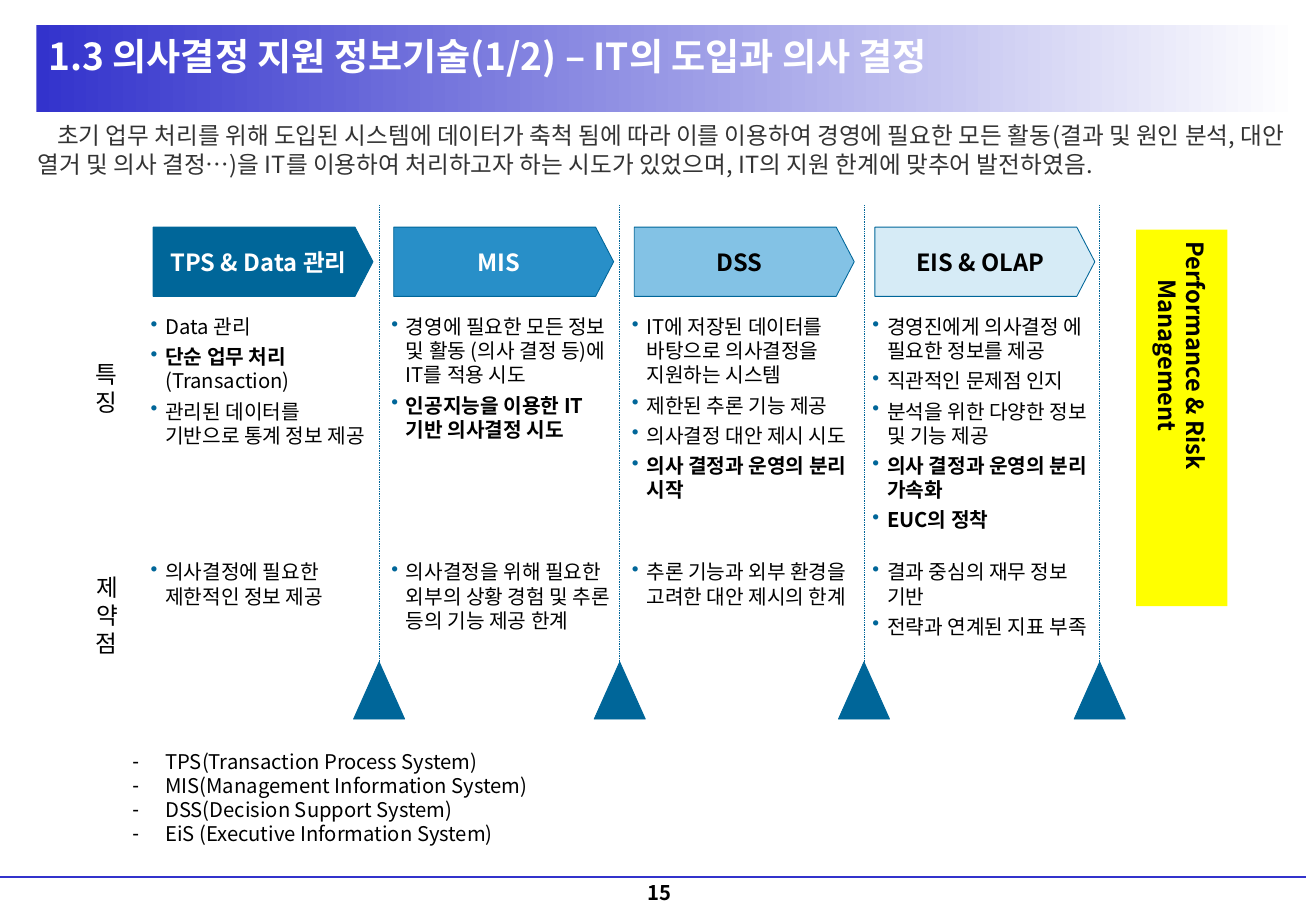
import lxml.etree
import pptx
import pptx.dml.color
import pptx.enum.dml
import pptx.enum.shapes
import pptx.enum.text
import pptx.oxml.ns
import pptx.util

Inches = pptx.util.Inches
Pt = pptx.util.Pt
RGBColor = pptx.dml.color.RGBColor
SHAPE = pptx.enum.shapes.MSO_SHAPE
ALIGN = pptx.enum.text.PP_ALIGN
ANCHOR = pptx.enum.text.MSO_ANCHOR
qn = pptx.oxml.ns.qn

FONT = "Noto Sans CJK KR"
WHITE = RGBColor(0xFF, 0xFF, 0xFF)
BLACK = RGBColor(0, 0, 0)
GRAY = RGBColor(0x33, 0x33, 0x33)
INDIGO = RGBColor(0x33, 0x33, 0xCC)
TEAL = RGBColor(0x00, 0x66, 0x99)
BLUE = RGBColor(0x28, 0x8F, 0xC8)
SKY = RGBColor(0x83, 0xC2, 0xE5)
PALE = RGBColor(0xD6, 0xEB, 0xF6)
YELLOW = RGBColor(0xFF, 0xFF, 0x00)

TITLE = "1.3 의사결정 지원 정보기술(1/2) – IT의 도입과 의사 결정"
LEAD = (
    "초기 업무 처리를 위해 도입된 시스템에 데이터가 축척 됨에 따라 이를 이용하여 경영에 필요한 "
    "모든 활동(결과 및 원인 분석, 대안 열거 및 의사 결정…)을 IT를 이용하여 처리하고자 하는 "
    "시도가 있었으며, IT의 지원 한계에 맞추어 발전하였음."
)
# Each point is (bold part, plain part).
STAGES = [
    {"name": "TPS & Data 관리", "fill": TEAL, "ink": WHITE, "divider": 3.12,
     "features": [("", "Data 관리"), ("단순 업무 처리 ", "(Transaction)"),
                  ("", "관리된 데이터를 기반으로 통계 정보 제공")],
     "limits": [("", "의사결정에 필요한 제한적인 정보 제공")]},
    {"name": "MIS", "fill": BLUE, "ink": WHITE, "divider": 5.1,
     "features": [("", "경영에 필요한 모든 정보 및 활동 (의사 결정 등)에 IT를 적용 시도"),
                  ("인공지능을 이용한 IT기반 의사결정 시도", "")],
     "limits": [("", "의사결정을 위해 필요한 외부의 상황 경험 및 추론 등의 기능 제공 한계")]},
    {"name": "DSS", "fill": SKY, "ink": BLACK, "divider": 7.11,
     "features": [("", "IT에 저장된 데이터를 바탕으로 의사결정을 지원하는 시스템"),
                  ("", "제한된 추론 기능 제공"), ("", "의사결정 대안 제시 시도"),
                  ("의사 결정과 운영의 분리 시작", "")],
     "limits": [("", "추론 기능과 외부 환경을 고려한 대안 제시의 한계")]},
    {"name": "EIS & OLAP", "fill": PALE, "ink": BLACK, "divider": 9.05,
     "features": [("", "경영진에게 의사결정 에 필요한 정보를 제공"), ("", "직관적인 문제점 인지"),
                  ("", "분석을 위한 다양한 정보 및 기능 제공"),
                  ("의사 결정과 운영의 분리 가속화", ""), ("EUC의 정착", "")],
     "limits": [("", "결과 중심의 재무 정보 기반"), ("", "전략과 연계된 지표 부족")]},
]
ROW_LABELS = [(["특", "징"], 2.59), (["제약점"], 4.46)]
GLOSSARY = [
    "TPS(Transaction Process System)",
    "MIS(Management Information System)",
    "DSS(Decision Support System)",
    "EiS (Executive Information System)",
]
OUTCOME = "Performance & Risk Management"
PAGE = "15"

STAGE_LEFT, STAGE_STEP, STAGE_WIDTH = 1.26, 1.98, 1.81
FEATURES_TOP, LIMITS_TOP = 2.59, 4.61
LINE_RATIO = 1.19


def place(part, left, top, width, height):
    part.left, part.top = Inches(left), Inches(top)
    part.width, part.height = Inches(width), Inches(height)


def write(part, lines, size, color=BLACK, bold=False, align=ALIGN.LEFT, anchor=ANCHOR.TOP,
          insets=(0, 0), bullet=None, hang=0, bullet_color=BLACK, gap=0):
    """Fill a part with paragraphs; a line is text or a (bold, plain) pair."""
    frame = part.text_frame
    frame.word_wrap = True
    frame.auto_size = pptx.enum.text.MSO_AUTO_SIZE.NONE
    frame.vertical_anchor = anchor
    frame.margin_left = frame.margin_right = Inches(insets[0])
    frame.margin_top = frame.margin_bottom = Inches(insets[1])
    for index, line in enumerate(lines):
        paragraph = frame.paragraphs[0] if index == 0 else frame.add_paragraph()
        strong, plain = (line, "") if isinstance(line, str) else line
        properties = paragraph._p.get_or_add_pPr()
        if bullet:
            properties.set("marL", str(Inches(hang)))
            properties.set("indent", str(-Inches(hang)))
            tint = lxml.etree.SubElement(properties, qn("a:buClr"))
            lxml.etree.SubElement(tint, qn("a:srgbClr"), val=str(bullet_color))
            lxml.etree.SubElement(properties, qn("a:buChar"), char=bullet)
        elif hang:
            properties.set("indent", str(Inches(hang)))
        paragraph.alignment = align
        paragraph.space_before = Pt(0)
        paragraph.space_after = Pt(gap)
        paragraph.line_spacing = Pt(round(size * LINE_RATIO, 1))
        paragraph.font.name = FONT
        paragraph.font.size = Pt(size)
        paragraph.font.color.rgb = color
        paragraph.font.bold = bold if isinstance(line, str) else not plain
        lxml.etree.SubElement(properties.find(qn("a:defRPr")), qn("a:ea"), typeface=FONT)
        for words in filter(None, (strong, plain)):
            run = paragraph.add_run()
            run.text = words
            if strong and plain:
                run.font.bold = words == strong


def add_text(slide, box, lines, size, **style):
    part = slide.shapes.add_textbox(*map(Inches, box))
    write(part, lines, size, **style)


def add_block(slide, preset, box, fill, outline=None):
    block = slide.shapes.add_shape(preset, *map(Inches, box))
    block.shadow.inherit = False
    block.fill.solid()
    block.fill.fore_color.rgb = fill
    if outline is None:
        block.line.fill.background()
    else:
        block.line.color.rgb = outline
        block.line.width = Pt(0.5)
    return block


def add_rule(slide, start, end, color, width):
    rule = slide.shapes.add_connector(
        pptx.enum.shapes.MSO_CONNECTOR.STRAIGHT, *map(Inches, start + end))
    rule.line.color.rgb = color
    rule.line.width = Pt(width)
    lxml.etree.SubElement(rule._element.spPr, qn("a:effectLst"))
    return rule


def add_stage(slide, index, stage):
    left = STAGE_LEFT + index * STAGE_STEP
    arrow = add_block(slide, SHAPE.PENTAGON, (left, 1.87, STAGE_WIDTH, 0.57), stage["fill"], TEAL)
    arrow.adjustments[0] = 0.26
    write(arrow, [stage["name"]], 14, stage["ink"], True, ALIGN.CENTER, ANCHOR.MIDDLE, (0.05, 0.05))
    for points, top, height in ((stage["features"], FEATURES_TOP, 1.62),
                                (stage["limits"], LIMITS_TOP, 0.83)):
        add_text(slide, (left - 0.02, top, STAGE_WIDTH, height), points, 12,
                 bullet="•", hang=0.12, bullet_color=TEAL, gap=3.6)
    divider = stage["divider"]
    dotted = add_rule(slide, (divider, 1.69), (divider, 5.73), TEAL, 0.5)
    dotted.line.dash_style = pptx.enum.dml.MSO_LINE.ROUND_DOT
    add_block(slide, SHAPE.ISOSCELES_TRIANGLE, (divider - 0.21, 5.45, 0.42, 0.47), TEAL, TEAL)


def main():
    deck = pptx.Presentation()
    deck.slide_width, deck.slide_height = Inches(10.83), Inches(7.5)
    slide = deck.slides.add_slide(deck.slide_layouts[1])

    banner = add_block(slide, SHAPE.RECTANGLE, (0.3, 0.21, 10.4, 0.71), INDIGO)
    banner.fill.gradient()
    banner.fill.gradient_angle = 0
    for stop, color in zip(banner.fill.gradient_stops, (INDIGO, WHITE)):
        stop.color.rgb = color
    slide.shapes._spTree.insert(2, banner._element)

    title, glossary = slide.placeholders
    place(title, 0.3, 0.22, 10.54, 0.48)
    write(title, [TITLE], 22, WHITE, True, anchor=ANCHOR.MIDDLE, insets=(0.1, 0.05))
    add_text(slide, (0.31, 1, 10.32, 1.03), [LEAD], 14, color=GRAY, hang=0.16)

    for index, stage in enumerate(STAGES):
        add_stage(slide, index, stage)
    for label, top in ROW_LABELS:
        add_text(slide, (0.63, top, 0.5, 1.21), label, 14, align=ALIGN.CENTER,
                 anchor=ANCHOR.MIDDLE, insets=(0.1, 0.05))

    outcome = add_block(slide, SHAPE.RECTANGLE, (9.35, 1.89, 0.75, 3.1), YELLOW)
    write(outcome, [OUTCOME], 14, bold=True, align=ALIGN.CENTER, anchor=ANCHOR.MIDDLE,
          insets=(0.1, 0.05))
    outcome.text_frame._txBody.bodyPr.set("vert", "eaVert")

    place(glossary, 0.99, 6.12, 8.65, 0.91)
    write(glossary, GLOSSARY, 12, insets=(0.1, 0.05), bullet="-", hang=0.27)

    add_rule(slide, (0, 7.22), (10.75, 7.22), INDIGO, 1.5)
    add_text(slide, (4.3, 7.21, 2.26, 0.29), [PAGE], 12, bold=True, align=ALIGN.CENTER,
             anchor=ANCHOR.BOTTOM, insets=(0.1, 0.05))
    deck.save("out.pptx")


if __name__ == "__main__":
    main()
